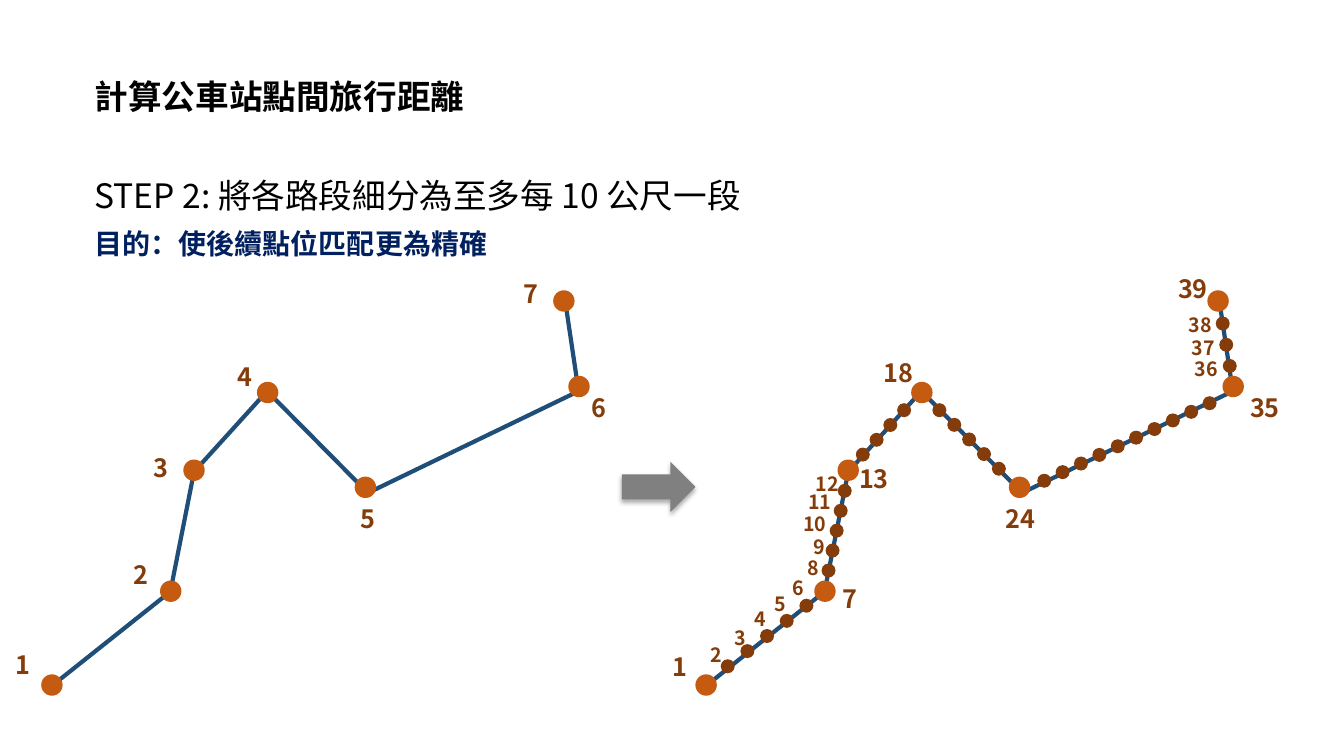
from lxml import etree
from pptx import Presentation
from pptx.dml.color import RGBColor
from pptx.enum import shapes, text
from pptx.oxml.ns import qn
from pptx.util import Pt

ROUTE = [(37.4, 489.6), (121.7, 422.6), (138.6, 337), (190.8, 279.4),
         (262.8, 352.1), (413.3, 279.4), (403.2, 211.7)]
STOPS = [(37.1, 489.3), (122, 422.3), (138.6, 335.9), (191.2, 280.4),
         (261, 348.1), (413.6, 276.1), (402.8, 215)]
SHIFT = 467.3  # distance from the left route to the right one

STOP_LABELS = {1: (16.6, 474.5), 2: (100.8, 410.4), 3: (115.2, 334.1),
               4: (175, 268.6), 5: (262.8, 370.1), 6: (427.7, 290.9),
               7: (379.4, 209.5)}
RENUMBERED_LABELS = {1: (486, 475.9), 7: (607, 427.7), 13: (624.2, 342),
                     18: (641.5, 266.4), 24: (728.6, 370.1),
                     35: (903.6, 290.9), 39: (852.1, 205.9)}
POINT_LABELS = {2: (511.9, 468), 3: (528.5, 455.8), 4: (542.9, 442.1),
                5: (557.3, 431.3), 6: (570.2, 419.8), 8: (581, 405.4),
                9: (585.4, 390.2), 10: (582.1, 374.4), 11: (585.7, 358.6),
                12: (590.8, 345.6), 38: (857.2, 231.8), 37: (859.3, 248.4),
                36: (861.5, 263.5)}
# first point, last point and number of points on each section
SECTIONS = [((519.8, 475.9), (576, 432.7), 5),
            ((591.8, 407.5), (603.4, 350.6), 5),
            ((616.3, 324.7), (645.8, 293), 4),
            ((671, 293), (713.5, 334.8), 5),
            ((745.9, 343.4), (864, 288), 10),
            ((878.4, 261.4), (873.4, 231.1), 3)]


def rgb(value):
    return RGBColor.from_string(value)


class Deck:
    FONT = "Noto Sans CJK SC"
    BLACK, NAVY, BLUE = "000000", "002060", "1F4E79"
    ORANGE, BROWN, GREY = "C55A11", "843C0B", "808080"

    def __init__(self, slide):
        self.s = slide

    def add_words(self, sp, words, size, color, bold=False, center=False, before=0, wrap=True):
        """Format the frame of a shape and add one run to it."""
        tf = sp.text_frame
        tf.word_wrap = wrap
        tf.auto_size = text.MSO_AUTO_SIZE.SHAPE_TO_FIT_TEXT
        tf.vertical_anchor = text.MSO_ANCHOR.TOP
        p = tf.paragraphs[0]
        p.alignment = text.PP_ALIGN.CENTER if center else text.PP_ALIGN.LEFT
        p.space_before = Pt(before)
        r = p.add_run()
        r.text = words
        r.font.size, r.font.bold = Pt(size), bold
        r.font.color.rgb = rgb(color)
        r.font.name = self.FONT
        etree.SubElement(r.font._element, qn("a:ea"), typeface=self.FONT)

    def title(self, words, x, y, w, h):
        sp = self.s.shapes.title
        sp.left, sp.top, sp.width, sp.height = Pt(x), Pt(y), Pt(w), Pt(h)
        self.add_words(sp, words, 24, self.BLACK, bold=True, wrap=False)

    def text_box(self, words, x, y, w, h, size, color, **style):
        sp = self.s.shapes.add_textbox(Pt(x), Pt(y), Pt(w), Pt(h))
        self.add_words(sp, words, size, color, before=6, **style)

    def labels(self, centers, size, wide):
        """Put each number around its centre; two digits get the wide box."""
        h = size * 1.2 + 7.2
        for number, (x, y) in centers.items():
            w = 26 if number < 10 else wide
            self.text_box(str(number), x - w / 2, y - h / 2, w, h, size,
                          self.BROWN, bold=True, center=True)

    def line(self, start, end):
        c = self.s.shapes.add_connector(shapes.MSO_CONNECTOR.STRAIGHT,
                                        *(Pt(v) for v in start + end))
        c.line.color.rgb = rgb(self.BLUE)
        c.line.width = Pt(3)
        etree.SubElement(c._element.spPr, qn("a:effectLst"))

    def shape(self, kind, x, y, w, h, color):
        sp = self.s.shapes.add_shape(kind, Pt(x), Pt(y), Pt(w), Pt(h))
        sp.shadow.inherit = False
        sp.fill.solid()
        sp.fill.fore_color.rgb = rgb(color)
        sp.line.fill.background()
        return sp

    def dot(self, x, y, size, color):
        self.shape(shapes.MSO_SHAPE.OVAL, x - size / 2, y - size / 2, size, size, color)

    def route(self, dx):
        """Draw the route with its stops, moved right by dx."""
        vertices = [(x + dx, y) for x, y in ROUTE]
        for start, end in zip(vertices, vertices[1:]):
            self.line(start, end)
        for x, y in STOPS:
            self.dot(x + dx, y, 15.3, self.ORANGE)

    def section(self, start, end, count):
        """Spread points evenly from start to end."""
        for i in range(count):
            x, y = (a + (b - a) * i / (count - 1) for a, b in zip(start, end))
            self.dot(x, y, 10, self.BROWN)

    def arrow(self, x, y, w, h):
        sp = self.shape(shapes.MSO_SHAPE.RIGHT_ARROW, x, y, w, h, self.GREY)
        effects = sp._element.spPr.find(qn("a:effectLst"))
        shadow = etree.SubElement(effects, qn("a:outerShdw"), blurRad=str(Pt(3.5)),
                                  dist=str(Pt(2.2)), dir="5400000", rotWithShape="0")
        color = etree.SubElement(shadow, qn("a:srgbClr"), val=self.BLACK)
        etree.SubElement(color, qn("a:alpha"), val="32000")


def main():
    prs = Presentation()
    prs.slide_width, prs.slide_height = Pt(960), Pt(540)
    d = Deck(prs.slides.add_slide(prs.slide_layouts[5]))

    d.title("計算公車站點間旅行距離", 60.5, 50.4, 280.8, 36)
    d.text_box("STEP 2: 將各路段細分為至多每 10 公尺一段", 60.5, 121.7, 832.3, 36, 24, d.BLACK)
    d.text_box("目的：使後續點位匹配更為精確", 60.5, 158.4, 317.5, 31.7, 20, d.NAVY, bold=True)

    d.route(0)
    d.labels(STOP_LABELS, 18, 42)

    d.route(SHIFT)
    for start, end, count in SECTIONS:
        d.section(start, end, count)
    d.labels(RENUMBERED_LABELS, 18, 42)
    d.labels(POINT_LABELS, 14, 32.4)

    d.arrow(444.2, 329.8, 52.6, 36)
    prs.save("out.pptx")


if __name__ == "__main__":
    main()
